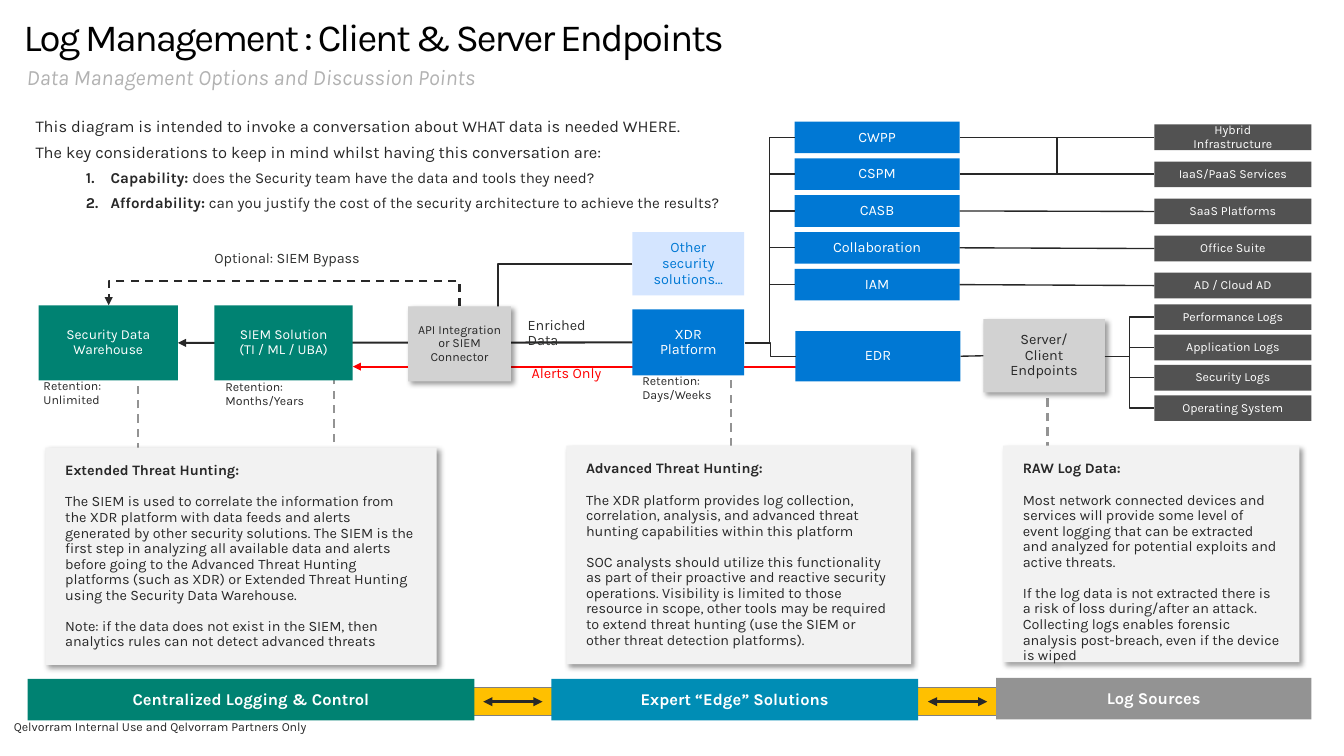
import pptx
import pptx.util
import pptx.dml.color
import pptx.enum.dml
import pptx.enum.shapes
import pptx.enum.text
import pptx.oxml.ns
from lxml import etree

Inches = pptx.util.Inches
Pt = pptx.util.Pt
RGBColor = pptx.dml.color.RGBColor
Anchor = pptx.enum.text.MSO_ANCHOR
Align = pptx.enum.text.PP_ALIGN
Link = pptx.enum.shapes.MSO_CONNECTOR
qn = pptx.oxml.ns.qn

BLACK = RGBColor(0x00, 0x00, 0x00)
WHITE = RGBColor(0xFF, 0xFF, 0xFF)
INK = RGBColor(0x28, 0x28, 0x28)
LABEL = RGBColor(0x2E, 0x2F, 0x2E)
RED = RGBColor(0xFF, 0x00, 0x00)
GREEN = RGBColor(0x00, 0x82, 0x72)
BLUE = RGBColor(0x00, 0x78, 0xD4)
PALE = RGBColor(0xD4, 0xE5, 0xFF)
TEAL = RGBColor(0x00, 0x8D, 0xB5)
AMBER = RGBColor(0xFF, 0xC0, 0x00)
EDGE = RGBColor(0x80, 0x80, 0x80)
DARK = RGBColor(0x52, 0x52, 0x52)
GREY = RGBColor(0x93, 0x93, 0x93)
MUTED = RGBColor(0xB2, 0xB2, 0xB2)
SILVER = RGBColor(0xD2, 0xD2, 0xD2)
PAPER = RGBColor(0xF2, 0xF2, 0xF2)
PAD = (0.2, 0.16, 0.2, 0.16)


class Board:
    """Draws styled elements on the current slide."""

    def __init__(self, slide, font):
        self.shapes = slide.shapes
        self.font = font

    def style(self, para, size, color, bold=None, after=0, space=0.9):
        para.line_spacing = space
        para.space_after = Pt(after)
        para.font.name = self.font
        para.font.size = Pt(size)
        para.font.color.rgb = color
        para.font.bold = bold

    def inset(self, frame, pad):
        frame.word_wrap = True
        (frame.margin_left, frame.margin_top,
         frame.margin_right, frame.margin_bottom) = map(Inches, pad)

    def box(self, at, fill, text="", size=10.5, color=WHITE, bold=None,
            pad=PAD, shade=False):
        shape = self.shapes.add_shape(
            pptx.enum.shapes.MSO_SHAPE.RECTANGLE, *map(Inches, at))
        shape.shadow.inherit = False
        shape.fill.solid()
        shape.fill.fore_color.rgb = fill
        shape.line.fill.background()
        frame = shape.text_frame
        self.inset(frame, pad)
        frame.vertical_anchor = Anchor.MIDDLE
        if text:
            frame.text = text
            for para in frame.paragraphs:
                para.alignment = Align.CENTER
                self.style(para, size, color, bold)
        if shade:
            self.shade(shape)
        return shape

    def shade(self, shape):
        effect = shape._element.spPr.find(qn("a:effectLst"))
        outer = etree.SubElement(effect, qn("a:outerShdw"), blurRad=str(Pt(4)),
                                 dist=str(Pt(3)), dir="2700000", algn="tl", rotWithShape="0")
        tint = etree.SubElement(outer, qn("a:srgbClr"), val="000000")
        etree.SubElement(tint, qn("a:alpha"), val="40000")

    def card(self, at, head, *body):
        shape = self.box(at, PAPER, "\n".join((head,) + body), color=INK, shade=True)
        shape.text_frame.vertical_anchor = Anchor.TOP
        for i, para in enumerate(shape.text_frame.paragraphs):
            para.alignment = Align.LEFT
            para.font.bold = i == 0
            if i:
                para.space_before = Pt(11.3)

    def text(self, at, words, size, color, pad=PAD, after=6, space=0.9):
        frame = self.shapes.add_textbox(*map(Inches, at)).text_frame
        self.inset(frame, pad)
        para = frame.paragraphs[0]
        para.text = words
        self.style(para, size, color, after=after, space=space)
        return frame

    def point(self, frame, head, body):
        para = frame.add_paragraph()
        para.level = 1
        props = para._p.get_or_add_pPr()
        props.set("marL", str(Inches(0.76)))
        props.set("indent", str(Inches(-0.25)))
        etree.SubElement(props, qn("a:buFont"), typeface="+mj-lt")
        etree.SubElement(props, qn("a:buAutoNum"), type="arabicPeriod")
        for words, bold in ((head, True), (" " + body, False)):
            run = para.add_run()
            run.text = words
            run.font.bold = bold
        self.style(para, 11, INK, after=6)

    def stroke(self, shape, color, width, dash=False, ends=()):
        shape.line.color.rgb = color
        shape.line.width = Pt(width)
        if dash:
            shape.line.dash_style = pptx.enum.dml.MSO_LINE.DASH
        props = shape._element.spPr
        for end in ends:
            etree.SubElement(props.find(qn("a:ln")), qn("a:" + end), type="triangle")
        if props.find(qn("a:effectLst")) is None:
            etree.SubElement(props, qn("a:effectLst"))

    def line(self, start, stop, color=INK, width=1, kind=Link.STRAIGHT, **look):
        link = self.shapes.add_connector(kind, *map(Inches, start + stop))
        self.stroke(link, color, width, **look)
        return link

    def elbow(self, start, stop):
        self.line(start, stop, kind=Link.ELBOW)

    def join(self, first, side, last, far, **look):
        link = self.line((0, 0), (1, 1), **look)
        link.begin_connect(first, side)
        link.end_connect(last, far)

    def route(self, points, **look):
        spots = [tuple(map(Inches, spot)) for spot in points]
        maker = self.shapes.build_freeform(*spots[0])
        maker.add_line_segments(spots[1:], close=False)
        shape = maker.convert_to_shape()
        shape.shadow.inherit = False
        shape.fill.background()
        self.stroke(shape, INK, 1.5, **look)


def main():
    deck = pptx.Presentation()
    deck.slide_width, deck.slide_height = Inches(13.6), Inches(7.65)
    board = Board(deck.slides.add_slide(deck.slide_layouts[6]), "Karla")

    title = board.text((0.24, 0, 7.19, 0.62), "Log Management : Client & Server Endpoints",
                       28, BLACK, (0, 0.18, 0, 0), 0)
    title.paragraphs[0].runs[0]._r.get_or_add_rPr().set("spc", "-150")
    board.text((0.17, 0.59, 6.12, 0.37), "Data Management Options and Discussion Points",
               16, MUTED, (0.1, 0.05, 0.1, 0.05), 0, 1).paragraphs[0].font.italic = True
    board.text((-0.06, 7.23, 4.42, 0.46),
               "Qelvorram Internal Use and Qelvorram Partners Only", 9, INK)

    intro = board.text(
        (0.16, 1.04, 7.47, 1.27),
        "This diagram is intended to invoke a conversation about WHAT data is needed WHERE.",
        12, INK)
    para = intro.add_paragraph()
    para.text = "The key considerations to keep in mind whilst having this conversation are:"
    board.style(para, 12, INK, after=6)
    board.point(intro, "Capability:", "does the Security team have the data and tools they need?")
    board.point(intro, "Affordability:",
                "can you justify the cost of the security architecture to achieve the results?")

    for x, top, low in ((1.4, 3.8, 4.57), (3.38, 3.83, 4.62), (7.4, 3.8, 4.66), (10.6, 3.87, 4.7)):
        board.line((x, low), (x, top), GREY, 1.5, dash=True)

    band = board.box((4.65, 6.96, 5.59, 0.28), AMBER)
    board.stroke(band, EDGE, 0.75)
    for at, fill, name in (
            ((0.28, 6.87, 4.52, 0.42), GREEN, "Centralized Logging & Control"),
            ((5.58, 6.87, 3.71, 0.42), TEAL, "Expert “Edge” Solutions"),
            ((10.08, 6.86, 3.19, 0.42), GREY, "Log Sources")):
        board.box(at, fill, name, 12, bold=True)
    for x in (4.89, 9.39):
        board.line((x + 0.6, 7.1), (x, 7.1), width=2.25, ends=("headEnd", "tailEnd"))

    board.line((8.12, 3.71), (3.57, 3.71), RED, 1.5, ends=("tailEnd",))
    store = board.box((0.39, 3.09, 1.41, 0.76), GREEN, "Security Data Warehouse", 10)
    xdr = board.box((6.4, 3.13, 1.13, 0.67), BLUE, "XDR Platform")
    board.join(xdr, 1, store, 3, width=1.5, ends=("tailEnd",))
    board.box((2.17, 3.09, 1.4, 0.76), GREEN, "SIEM Solution\n(TI / ML / UBA)", 10)
    board.route(((4.65, 3.1), (4.65, 2.84), (1.1, 2.84), (1.1, 3.09)),
                dash=True, ends=("tailEnd",))
    board.box((6.4, 2.35, 1.13, 0.64), PALE, "Other security solutions…", color=BLUE)
    board.route(((6.4, 2.67), (5.04, 2.67), (5.04, 3.21)), ends=("tailEnd",))
    board.box((4.13, 3.1, 1.04, 0.76), SILVER, "API Integration\vor SIEM Connector",
              9, INK, pad=(0.1,) * 4, shade=True)

    for at, words, size, color in (
            ((5.18, 3.62, 1.4, 0.49), "Alerts Only", 10.5, RED),
            ((5.14, 3.06, 1.31, 0.49), "Enriched Data", 10.5, LABEL),
            ((1.97, 2.46, 2.06, 0.48), "Optional: SIEM Bypass", 10.5, LABEL),
            ((6.3, 3.66, 1.87, 0.6), "Retention:\vDays/Weeks", 9, INK),
            ((2.08, 3.72, 1.28, 0.6), "Retention:\vMonths/Years", 9, INK),
            ((0.24, 3.71, 1.06, 0.6), "Retention:\vUnlimited", 9, INK)):
        board.text(at, words, size, color)

    tools = ("CWPP", "CSPM", "CASB", "Collaboration", "IAM")
    feeds = ("Hybrid Infrastructure", "IaaS/PaaS Services", "SaaS Platforms",
             "Office Suite", "AD / Cloud AD")
    for i, (tool, feed) in enumerate(zip(tools, feeds)):
        top = 1.23 + 1.49 * i / 4
        left = board.box((8.04, top, 1.67, 0.32), BLUE, tool)
        right = board.box((11.68, 1.26 + 1.5 * i / 4, 1.59, 0.26), DARK, feed, 9)
        board.elbow((7.54, 3.47), (8.04, top + 0.16))
        if i > 1:
            board.join(left, 3, right, 1)
    for start, stop in ((1.39, 1.76), (1.76, 1.39)):
        board.elbow((9.71, start), (11.68, stop))

    edr = board.box((8.05, 3.35, 1.67, 0.51), BLUE, "EDR")
    board.elbow((7.54, 3.47), (8.05, 3.61))
    host = board.box((9.95, 3.23, 1.23, 0.74), SILVER, "Server/Client Endpoints",
                     color=INK, shade=True)
    board.join(edr, 3, host, 1)
    logs = ("Performance Logs", "Application Logs", "Security Logs", "Operating System")
    for i, name in enumerate(logs):
        top = 3.08 + 0.92 * i / 3
        board.box((11.68, top, 1.59, 0.26), DARK, name, 9)
        board.elbow((11.18, 3.61), (11.68, top + 0.13))

    board.card(
        (0.46, 4.53, 3.96, 2.2), "Extended Threat Hunting:",
        "The SIEM is used to correlate the information from the XDR platform with data feeds and alerts generated by other security solutions. The SIEM is the first step in analyzing all available data and alerts before going to the Advanced Threat Hunting platforms (such as XDR) or Extended Threat Hunting using the Security Data Warehouse.",
        "Note: if the data does not exist in the SIEM, then analytics rules can not detect advanced threats")
    board.card(
        (5.73, 4.51, 3.49, 2.21), "Advanced Threat Hunting:",
        "The XDR platform provides log collection, correlation, analysis, and advanced threat hunting capabilities within this platform",
        "SOC analysts should utilize this functionality as part of their proactive and reactive security operations. Visibility is limited to those resource in scope, other tools may be required to extend threat hunting (use the SIEM or other threat detection platforms).")
    board.card(
        (10.15, 4.51, 3, 2.19), "RAW Log Data:",
        "Most network connected devices and services will provide some level of event logging that can be extracted and analyzed for potential exploits and active threats.",
        "If the log data is not extracted there is a risk of loss during/after an attack. Collecting logs enables forensic analysis post-breach, even if the device is wiped")

    deck.save("out.pptx")


if __name__ == "__main__":
    main()
